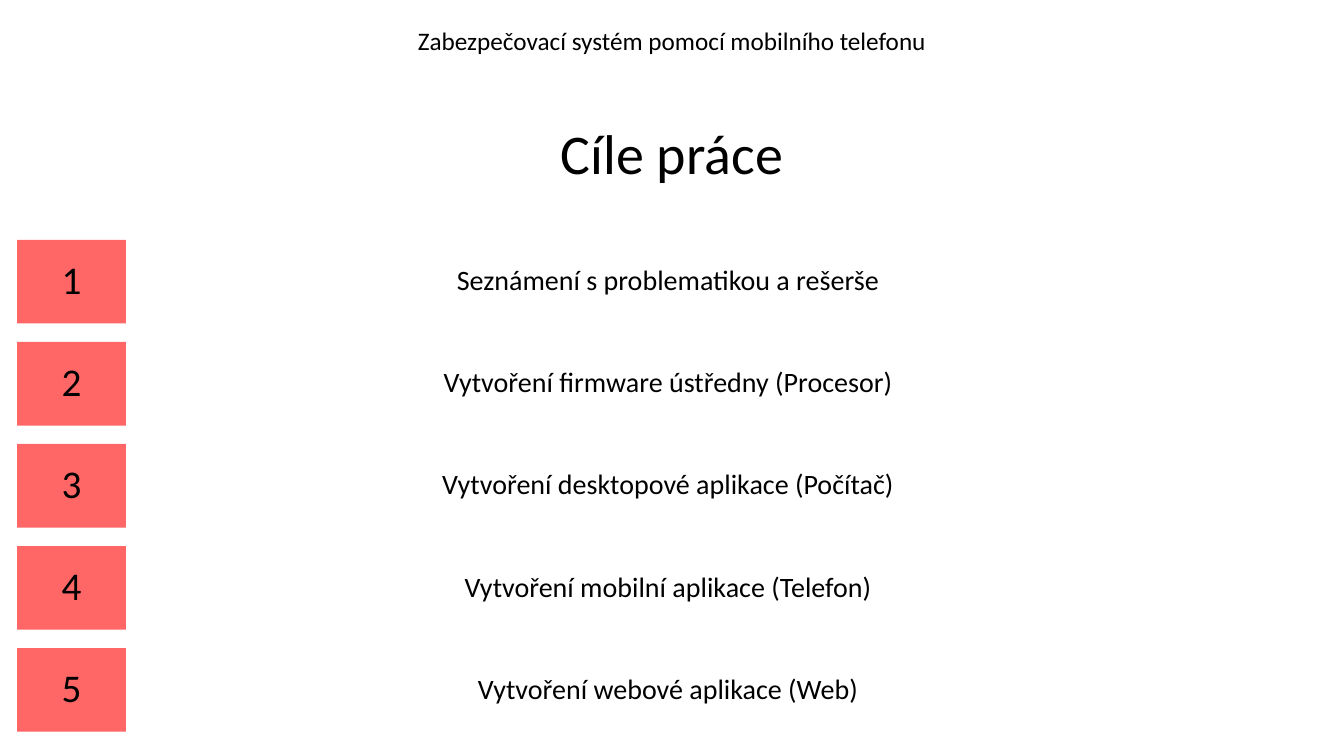
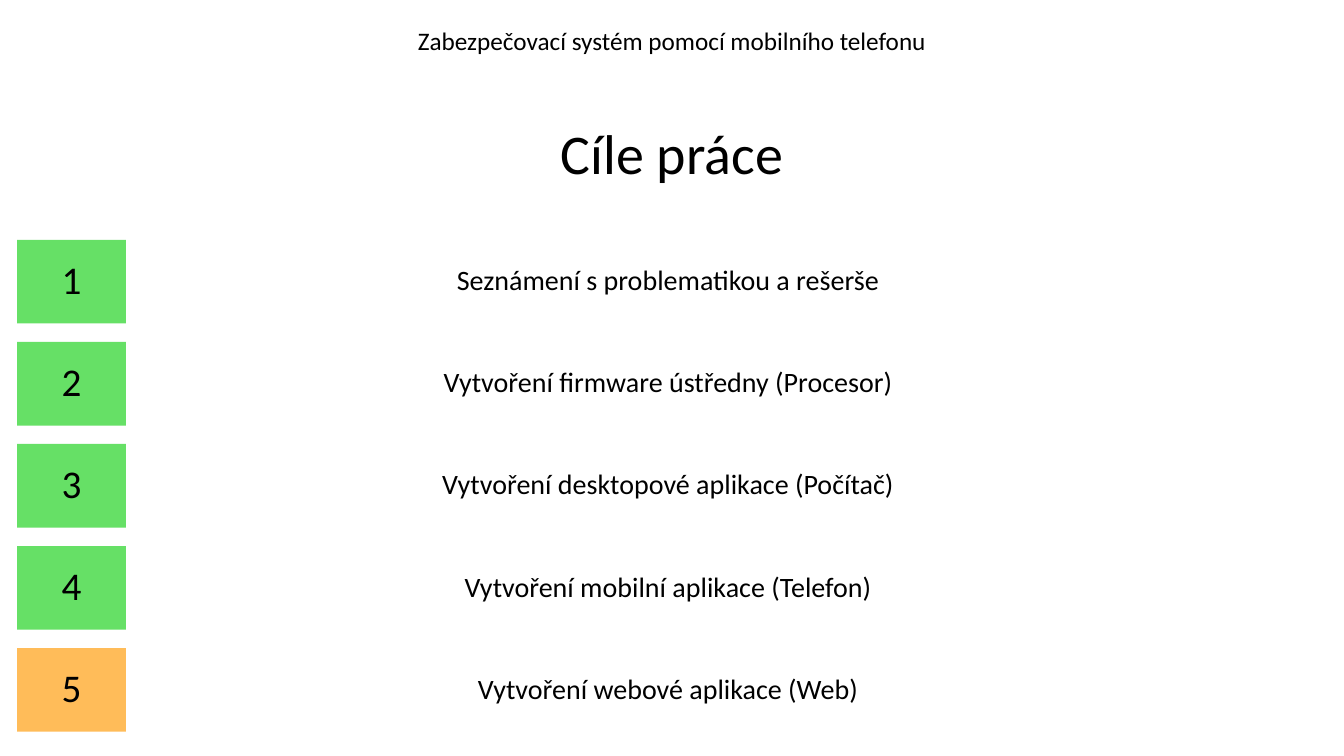
from lxml.etree import SubElement
from pptx import Presentation
from pptx.dml.color import RGBColor
from pptx.enum.shapes import MSO_SHAPE
from pptx.enum.text import MSO_ANCHOR, MSO_AUTO_SIZE, PP_ALIGN
from pptx.oxml.ns import qn
from pptx.util import Inches, Pt

COLORS = {
    "text": "000000",
    "panel": "FFFFFF",
    "planned": "FF0000",
    "done": "00CC00",
    "partial": "FF9900",
}
OPACITY = {"partial": 65}
DEFAULT_OPACITY = 60
FONT = "Calibri"
FRAME_FORMAT = {
    "word_wrap": True,
    "auto_size": MSO_AUTO_SIZE.NONE,
    "vertical_anchor": MSO_ANCHOR.MIDDLE,
}
PARAGRAPH_FORMAT = {
    "alignment": PP_ALIGN.CENTER,
    "line_spacing": 0.9,
    "space_before": Pt(0),
}
SIZES = {"header": 18, "title": 40, "goal": 20, "number": 28}

WIDTH, HEIGHT = 13.33, 7.5
HEADER_BOX = (0, 0.12, WIDTH, 0.6)
TITLE_BOX = (0, 0.9, WIDTH, 1.31)
LIST_BOX = (0.17, 2.38, 12.91, 4.88)
NUMBER_WIDTH, NUMBER_HEIGHT = 1.08, 0.83
GOAL_HEIGHT = 0.68

HEADER = "Zabezpečovací systém pomocí mobilního telefonu"
TITLE = "Cíle práce"
GOALS = [
    "Seznámení s problematikou a rešerše",
    "Vytvoření firmware ústředny (Procesor)",
    "Vytvoření desktopové aplikace (Počítač)",
    "Vytvoření mobilní aplikace (Telefon)",
    "Vytvoření webové aplikace (Web)",
]
SLIDE_STATES = [
    ["planned"] * 5,
    ["done"] * 4 + ["partial"],
]


def apply_format(obj, values):
    for name, value in values.items():
        setattr(obj, name, value)


def place(sp, box):
    names = ("left", "top", "width", "height")
    apply_format(sp, dict(zip(names, map(Inches, box))))


def fill_panel(sp, color):
    sp.fill.solid()
    sp.fill.fore_color.rgb = RGBColor.from_string(COLORS[color])
    alpha = OPACITY.get(color, DEFAULT_OPACITY) * 1000
    srgb = sp.fill._xPr.find(".//" + qn("a:srgbClr"))
    SubElement(srgb, qn("a:alpha")).set("val", str(alpha))
    sp.line.fill.background()


def write(sp, text, style):
    tf = sp.text_frame
    tf.text = text
    apply_format(tf, FRAME_FORMAT)
    p = tf.paragraphs[0]
    apply_format(p, PARAGRAPH_FORMAT)
    font = p.runs[0].font
    apply_format(font, {"name": FONT, "size": Pt(SIZES[style]), "bold": False})
    font.color.rgb = RGBColor.from_string(COLORS["text"])


def fill_placeholder(sp, box, text, style):
    place(sp, box)
    fill_panel(sp, "panel")
    write(sp, text, style)


def add_panel(slide, box, color, text, style):
    sp = slide.shapes.add_shape(MSO_SHAPE.RECTANGLE, *map(Inches, box))
    sp.shadow.inherit = False
    fill_panel(sp, color)
    write(sp, text, style)


def add_goal_list(slide, box, goals, states):
    left, top, width, height = box
    pitch = (height - NUMBER_HEIGHT) / (len(goals) - 1)
    inset = (NUMBER_HEIGHT - GOAL_HEIGHT) / 2
    for i, (goal, state) in enumerate(zip(goals, states)):
        y = top + i * pitch
        add_panel(slide, (left, y + inset, width, GOAL_HEIGHT), "panel", goal, "goal")
        add_panel(slide, (left, y, NUMBER_WIDTH, NUMBER_HEIGHT), state, str(i + 1), "number")


def add_goals_slide(prs, states):
    slide = prs.slides.add_slide(prs.slide_layouts[0])
    fill_placeholder(slide.placeholders[1], HEADER_BOX, HEADER, "header")
    fill_placeholder(slide.shapes.title, TITLE_BOX, TITLE, "title")
    add_goal_list(slide, LIST_BOX, GOALS, states)


def main():
    prs = Presentation()
    prs.slide_width = Inches(WIDTH)
    prs.slide_height = Inches(HEIGHT)
    for states in SLIDE_STATES:
        add_goals_slide(prs, states)
    prs.save("out.pptx")


if __name__ == "__main__":
    main()
